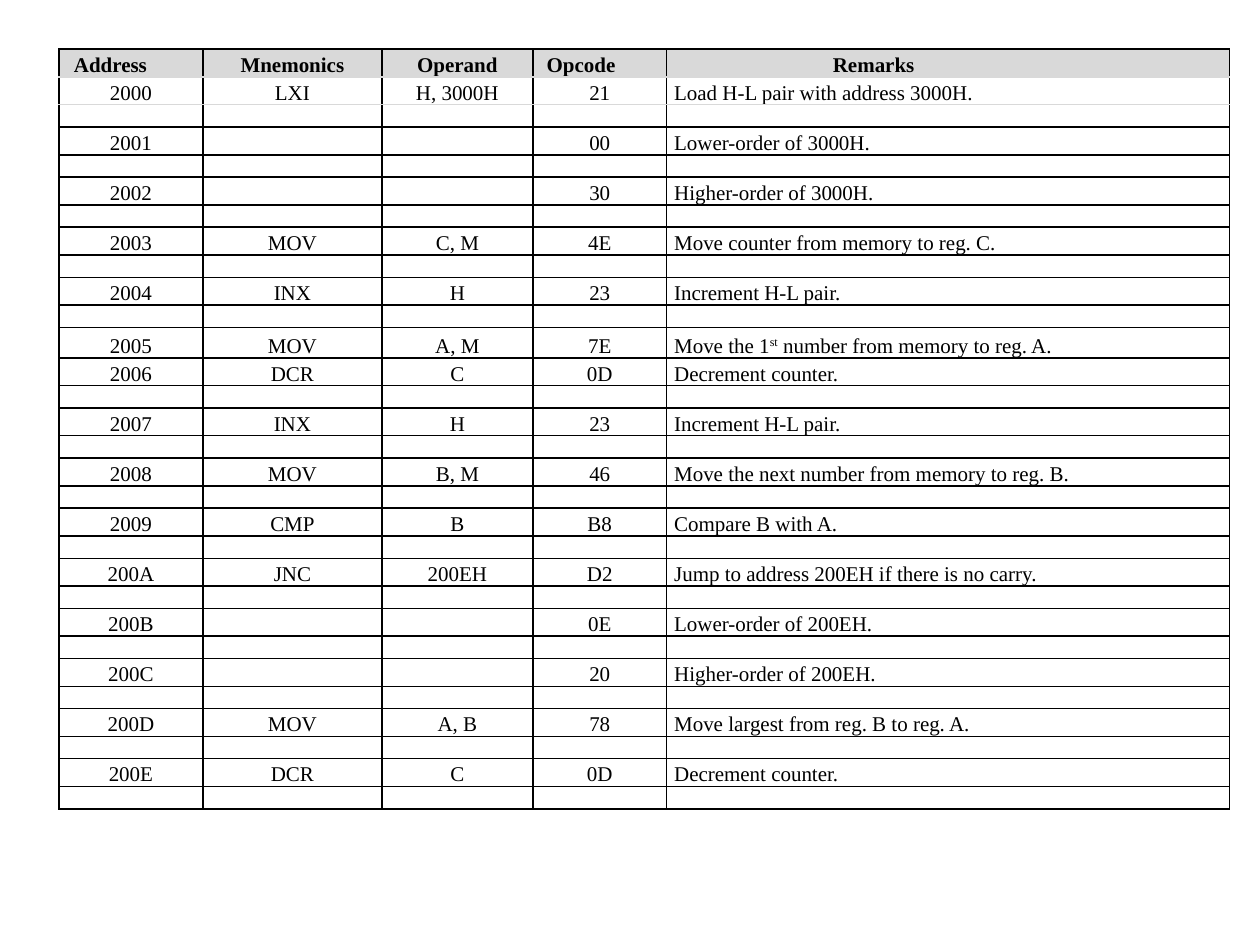
import pptx
import pptx.util
import pptx.dml.color
import pptx.enum.text
import pptx.oxml.ns
import lxml.etree

Cm, Pt, qn = pptx.util.Cm, pptx.util.Pt, pptx.oxml.ns.qn

HEADERS = ["Address", "Mnemonics", "Operand", "Opcode", "Remarks"]
PROGRAM = [
    ("2000", "LXI", "H, 3000H", "21", "Load H-L pair with address 3000H."),
    ("2001", "", "", "00", "Lower-order of 3000H."),
    ("2002", "", "", "30", "Higher-order of 3000H."),
    ("2003", "MOV", "C, M", "4E", "Move counter from memory to reg. C."),
    ("2004", "INX", "H", "23", "Increment H-L pair."),
    ("2005", "MOV", "A, M", "7E", ("Move the 1", "st", " number from memory to reg. A.")),
    ("2006", "DCR", "C", "0D", "Decrement counter."),
    ("2007", "INX", "H", "23", "Increment H-L pair."),
    ("2008", "MOV", "B, M", "46", "Move the next number from memory to reg. B."),
    ("2009", "CMP", "B", "B8", "Compare B with A."),
    ("200A", "JNC", "200EH", "D2", "Jump to address 200EH if there is no carry."),
    ("200B", "", "", "0E", "Lower-order of 200EH."),
    ("200C", "", "", "20", "Higher-order of 200EH."),
    ("200D", "MOV", "A, B", "78", "Move largest from reg. B to reg. A."),
    ("200E", "DCR", "C", "0D", "Decrement counter."),
]
COLORS = {"ink": "000000", "header": "D9D9D9"}
FONT = "Times New Roman"
COL_WIDTHS = [2.9, 3.61, 3.04, 2.7, 11.35]
HEADER_INDENTS = [0.3, None, None, 0.28, 3.35]  # None means centred
BODY_INDENTS = [None, None, None, None, 0.15]
LINE_HEIGHT, TALL_LINE, SPACER_HEIGHT = 0.56, 0.61, 0.45
NO_STYLE = "{2D5ABB26-0587-4C30-8999-92F81FD0307C}"


def set_borders(cell, **sides):
    """Draw 1 pt lines on the sides L, R, T, B that are given a colour name."""
    tc_pr = cell._tc.get_or_add_tcPr()
    for i, side in enumerate(s for s in "LRTB" if s in sides):
        ln = lxml.etree.Element(qn("a:ln" + side), w=str(Pt(1)))
        fill = lxml.etree.SubElement(ln, qn("a:solidFill"))
        lxml.etree.SubElement(fill, qn("a:srgbClr"), val=COLORS[sides[side]])
        tc_pr.insert(i, ln)


def write_cell(cell, text, indent, spacing=1.15, bold=False):
    """Fill in a cell; a tuple is (before, superscript, after)."""
    cell.margin_left = cell.margin_right = cell.margin_top = cell.margin_bottom = 0
    cell.vertical_anchor = pptx.enum.text.MSO_ANCHOR.BOTTOM
    p = cell.text_frame.paragraphs[0]
    if not text:
        end = lxml.etree.SubElement(p._p, qn("a:endParaRPr"), sz="1100")
        lxml.etree.SubElement(end, qn("a:latin"), typeface=FONT)
        return
    for i, part in enumerate(text if isinstance(text, tuple) else (text,)):
        r = p.add_run()
        r.text = part
        if i == 1:
            r.font._element.set("baseline", "30000")
    if indent is None:
        p.alignment = pptx.enum.text.PP_ALIGN.CENTER
    else:
        p._p.get_or_add_pPr().set("marL", str(Cm(indent)))
    p.line_spacing = spacing
    p.font.name, p.font.size, p.font.bold = FONT, Pt(12), bold
    p.font.color.rgb = pptx.dml.color.RGBColor.from_string(COLORS["ink"])


def plan_rows():
    """List (kind, texts, height); each line but 2005 has a spacer row below."""
    rows = [("header", HEADERS, LINE_HEIGHT)]
    for line in PROGRAM:
        if line[0] == "2005":
            rows.append(("single", line, TALL_LINE))
        else:
            rows.append(("line", line, LINE_HEIGHT))
            rows.append(("spacer", [""] * len(HEADERS), SPACER_HEIGHT))
    return rows


def main():
    prs = pptx.Presentation()
    prs.slide_width, prs.slide_height = Cm(25.4), Cm(19.05)
    s = prs.slides.add_slide(prs.slide_layouts[6])

    rows = plan_rows()
    table = s.shapes.add_table(
        len(rows), len(HEADERS), Cm(1.19), Cm(0.99),
        Cm(sum(COL_WIDTHS)), Cm(sum(row[2] for row in rows))).table
    table.first_row = table.horz_banding = False
    table._tbl.tblPr.find(qn("a:tableStyleId")).text = NO_STYLE
    for column, width in zip(table.columns, COL_WIDTHS):
        column.width = Cm(width)

    for i, (kind, texts, height) in enumerate(rows):
        table.rows[i].height = Cm(height)
        header = kind == "header"
        borders = {"L": "ink", "R": "ink"}
        if kind != "spacer":
            borders["T"] = "header" if i == 1 else "ink"
        if kind != "line":
            borders["B"] = "header" if header else "ink"
        indents = HEADER_INDENTS if header else BODY_INDENTS
        for j, text in enumerate(texts):
            cell = table.cell(i, j)
            spacing = Pt(17.4) if isinstance(text, tuple) else 1.15
            write_cell(cell, text, indents[j], spacing, header)
            if header:
                cell.fill.solid()
                cell.fill.fore_color.rgb = pptx.dml.color.RGBColor.from_string(COLORS["header"])
            else:
                cell.fill.background()
            set_borders(cell, **borders)

    prs.save("out.pptx")


if __name__ == "__main__":
    main()
